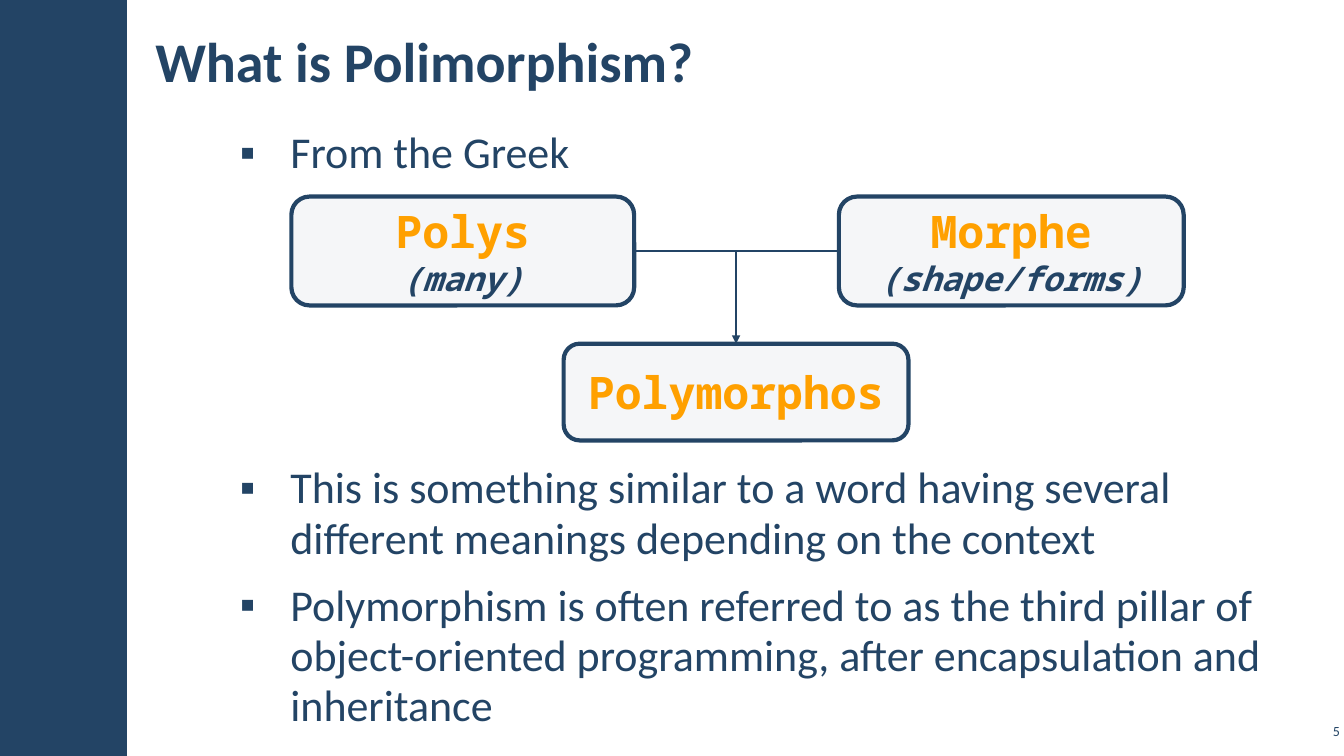
from lxml.etree import SubElement
from pptx import Presentation
from pptx.dml.color import RGBColor
from pptx.enum.shapes import MSO_CONNECTOR as Connector, MSO_SHAPE as Shape
from pptx.enum.text import MSO_ANCHOR as Anchor, MSO_AUTO_SIZE as AutoSize, PP_ALIGN as Align
from pptx.oxml.ns import qn
from pptx.util import Inches, Pt

NAVY, ORANGE, PALE = "234465", "FFA000", "C2C7D2"
SANS, MONO = "Calibri", "Noto Sans Mono"


def colour(value):
    return RGBColor.from_string(value)


def write(para, text, size=32, font=SANS, ink=NAVY, bold=False, italic=False, align=Align.LEFT):
    para.text = text
    para.alignment = align
    for span in para.runs:
        span.font.size = Pt(size)
        span.font.name = font
        span.font.color.rgb = colour(ink)
        span.font.bold = bold
        span.font.italic = italic


class Page:
    def __init__(self, deck):
        self.slide = deck.slides.add_slide(deck.slide_layouts[1])
        self.shapes = self.slide.shapes

    def place(self, shape, left, top, width, height):
        shape.left, shape.top = Inches(left), Inches(top)
        shape.width, shape.height = Inches(width), Inches(height)

    def frame(self, shape, anchor, side, edge=0.04):
        frame = shape.text_frame
        frame.auto_size = AutoSize.NONE
        frame.word_wrap = True
        frame.vertical_anchor = anchor
        frame.margin_left = frame.margin_right = Inches(side)
        frame.margin_top = frame.margin_bottom = Inches(edge)
        return frame

    def band(self, *area):
        band = self.shapes.add_shape(Shape.RECTANGLE, *map(Inches, area))
        band.shadow.inherit = False
        band.fill.solid()
        band.fill.fore_color.rgb = colour(NAVY)
        band.line.fill.background()
        tree = self.shapes.element
        tree.remove(band.element)
        tree.insert(2, band.element)

    def title(self, text, *area):
        title = self.shapes.title
        self.place(title, *area)
        write(self.frame(title, Anchor.MIDDLE, 0.12).paragraphs[0], text, size=40, bold=True)

    def bullets(self, items, *area):
        body = self.slide.placeholders[1]
        self.place(body, *area)
        frame = self.frame(body, Anchor.TOP, 0.12)
        for index, (text, before) in enumerate(items):
            para = frame.add_paragraph() if index else frame.paragraphs[0]
            write(para, text, size=31.4)
            para.line_spacing = 0.95
            para.space_before, para.space_after = Pt(before), Pt(6)
            properties = para._p.get_or_add_pPr()
            properties.set("marL", str(Inches(0.5)))
            properties.set("indent", str(Inches(-0.5)))
            SubElement(properties, qn("a:buFont"), typeface="Arial")
            SubElement(properties, qn("a:buChar"), char="▪")

    def number(self, text, *area):
        box = self.shapes.add_textbox(*map(Inches, area))
        write(self.frame(box, Anchor.MIDDLE, 0.04).paragraphs[0], text, size=10, align=Align.RIGHT)

    def term(self, word, meaning, *area):
        box = self.shapes.add_shape(Shape.ROUNDED_RECTANGLE, *map(Inches, area))
        box.shadow.inherit = False
        box.fill.solid()
        box.fill.fore_color.rgb = colour(PALE)
        tint = box.element.spPr.find(qn("a:solidFill"))[0]
        SubElement(tint, qn("a:alpha"), val="15000")
        box.line.color.rgb = colour(NAVY)
        box.line.width = Pt(3)
        frame = self.frame(box, Anchor.MIDDLE, 0.1, 0.05)
        frame.word_wrap = False
        write(frame.paragraphs[0], word, font=MONO, ink=ORANGE, bold=True, align=Align.CENTER)
        if meaning:
            write(frame.add_paragraph(), meaning, size=24, font=MONO, bold=True,
                  italic=True, align=Align.CENTER)

    def link(self, *ends, arrow=False):
        link = self.shapes.add_connector(Connector.STRAIGHT, *map(Inches, ends))
        link.line.color.rgb = colour(NAVY)
        link.line.width = Pt(2)
        if arrow:
            SubElement(link.line._ln, qn("a:tailEnd"), type="triangle")
        SubElement(link.element.spPr, qn("a:effectLst"))


def main():
    deck = Presentation()
    deck.slide_width, deck.slide_height = Inches(13.33), Inches(7.5)
    page = Page(deck)
    page.band(0, 0, 1.26, 7.5)
    page.title("What is Polimorphism?", 1.42, 0.11, 9.19, 0.97)
    diagram_gap = 198
    page.bullets([
        ("From the Greek", 6),
        ("This is something similar to a word having several\v"
         "different meanings depending on the context", diagram_gap),
        ("Polymorphism is often referred to as the third pillar of\v"
         "object-oriented programming, after encapsulation and\vinheritance", 6),
    ], 2.26, 1.23, 10.86, 6.27)
    page.number("5", 12.86, 7.14, 0.47, 0.22)
    page.term("Polys", "(many)", 2.89, 1.95, 3.4, 1.08)
    page.term("Morphe", "(shape/forms)", 8.32, 1.95, 3.42, 1.08)
    page.term("Polymorphos", None, 5.59, 3.41, 3.42, 0.96)
    page.link(6.29, 2.49, 8.32, 2.49)
    page.link(7.3, 2.49, 7.3, 3.41, arrow=True)
    deck.save("out.pptx")


if __name__ == "__main__":
    main()
